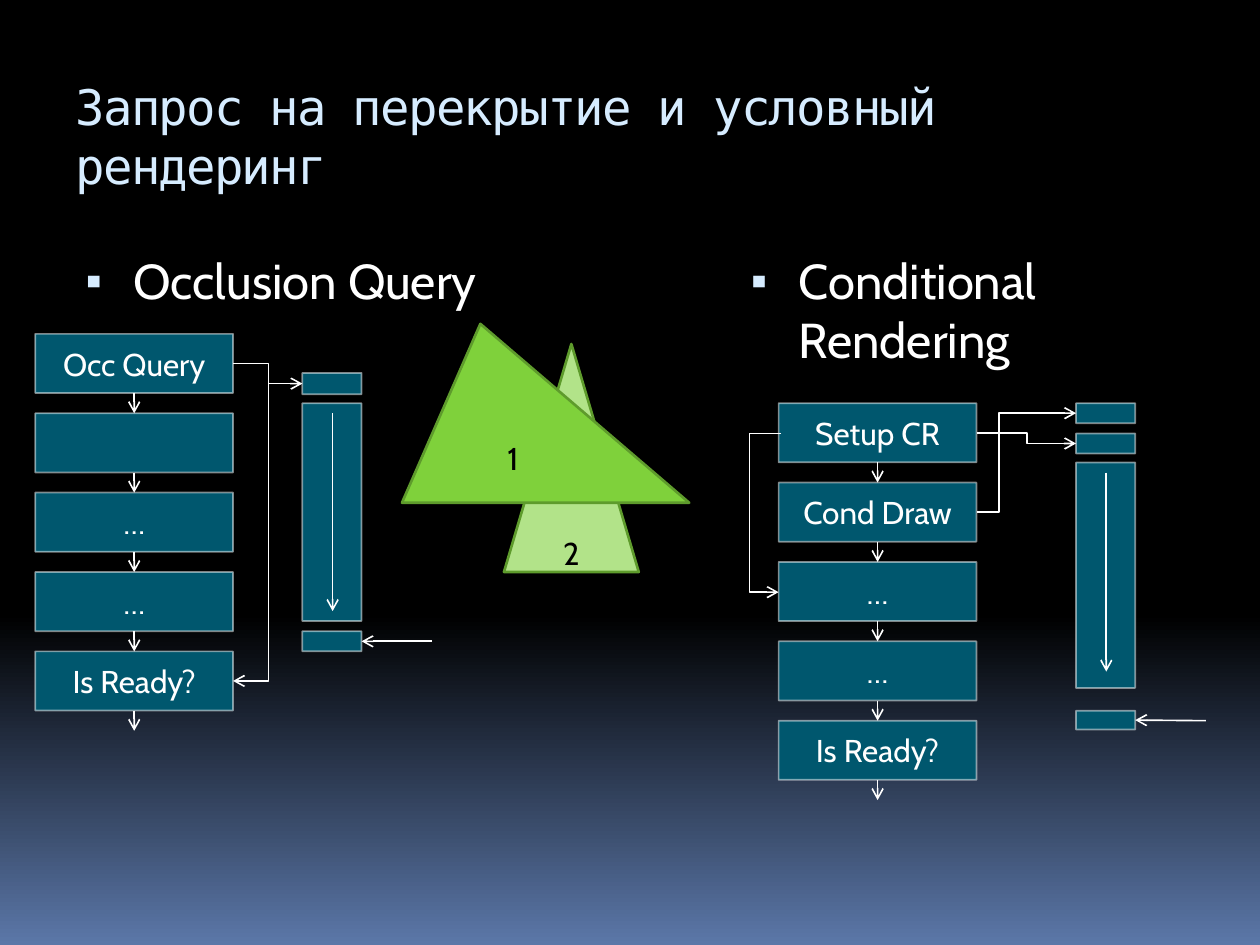
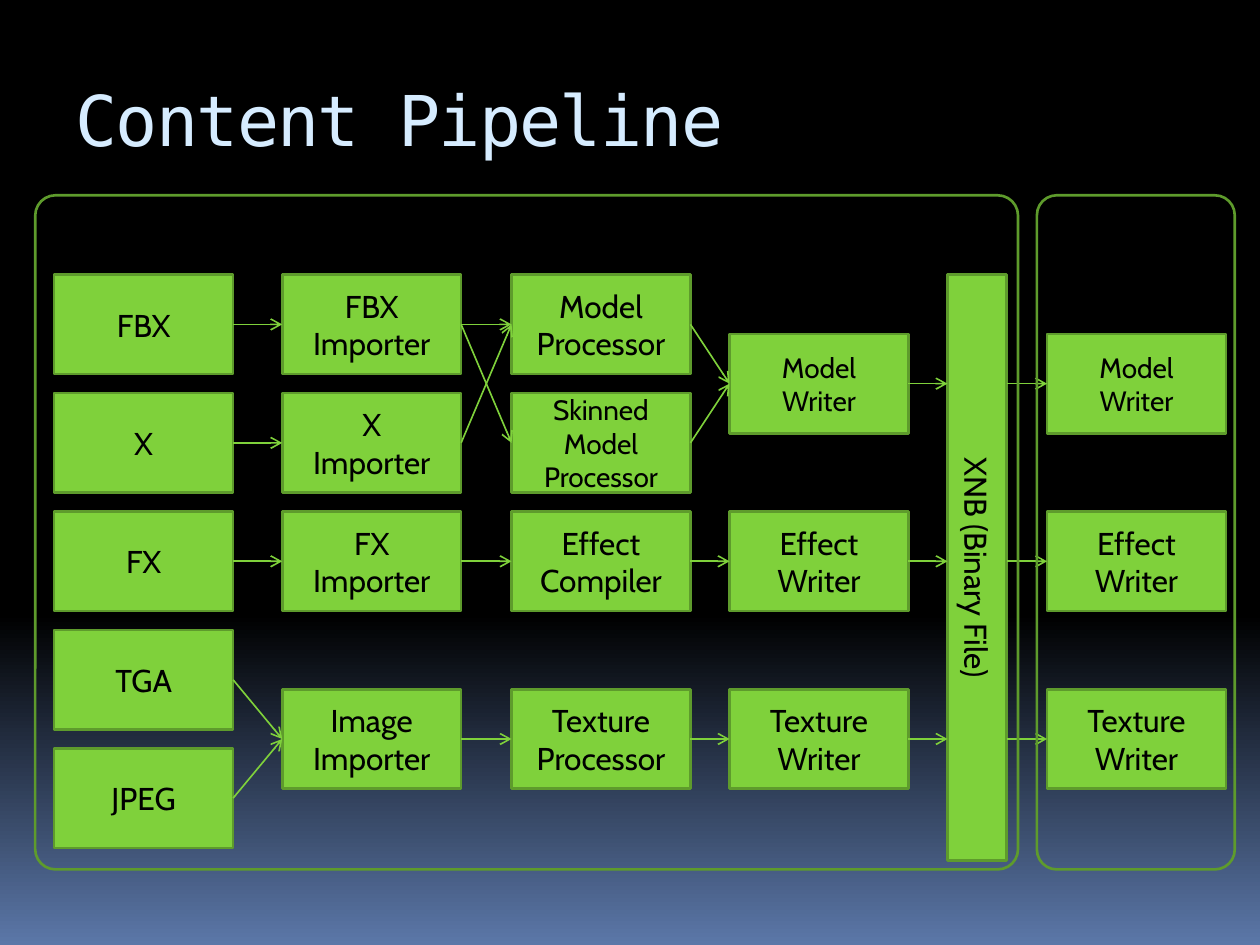
from lxml import etree
from pptx import Presentation
from pptx.dml.color import RGBColor
from pptx.enum.shapes import MSO_CONNECTOR as Connector, MSO_SHAPE as Preset
from pptx.enum.text import MSO_ANCHOR as Anchor, MSO_AUTO_SIZE as AutoSize, PP_ALIGN as Align
from pptx.oxml.ns import qn
from pptx.shapes.autoshape import Shape
from pptx.util import Inches, Pt

COLORS = {
    "black": "000000", "horizon": "5B77A8", "title": "D6ECFF", "white": "FFFFFF",
    "teal": "00576E", "green": "7FD13B", "pale_green": "B2E389", "dark_green": "5E9B2C",
}
# Box styles: fill, line, line width, line opacity, text
BOXES = {
    "teal": ("teal", "white", 1, 50, "white"),
    "green": ("green", "dark_green", 1.5, 100, "black"),
    "pale": ("pale_green", "dark_green", 1.5, 100, "black"),
    "frame": (None, "dark_green", 1.5, 100, "black"),
}
BODY_FONT, TITLE_FONT = "Cabin", "DejaVu Sans Mono"
TOP, LEFT, BOTTOM, RIGHT = range(4)


def rgb(name):
    return RGBColor.from_string(COLORS[name])


def add_element(parent, tag, **attributes):
    return etree.SubElement(parent, qn(tag), attributes)


def end_point(end):
    """Turn (x, y) in inches or (shape, side) into a point."""
    first, second = end
    if not isinstance(first, Shape):
        return Inches(first), Inches(second)
    across, down = {TOP: (1, 0), LEFT: (0, 1), BOTTOM: (1, 2), RIGHT: (2, 1)}[second]
    return first.left + first.width * across // 2, first.top + first.height * down // 2


class Deck:
    def __init__(self):
        self.presentation = Presentation()
        self.presentation.slide_width = Inches(10)
        self.presentation.slide_height = Inches(7.5)
        self.slide = None
        self.paint_background()

    def paint_background(self):
        master = self.presentation.slide_master
        fill = master.background.fill
        fill.gradient()
        fill.gradient_angle = 270
        stops = next(master.element.iter(qn("a:gsLst")))
        for stop in list(stops):
            stops.remove(stop)
        for percent, name in ((0, "black"), (65, "black"), (100, "horizon")):
            stop = add_element(stops, "a:gs", pos=str(percent * 1000))
            add_element(stop, "a:srgbClr", val=COLORS[name])

    def new_slide(self, layout, title, size):
        layouts = self.presentation.slide_layouts
        self.slide = self.presentation.slides.add_slide(layouts.get_by_name(layout))
        shape = self.slide.shapes.title
        self.place(shape, 0.5, 0.56, 9, 1)
        run = self.add_text(shape.text_frame.paragraphs[0], title, size, "title", TITLE_FONT)
        run.font._element.set("spc", "-100")

    def place(self, placeholder, left, top, width, height):
        placeholder.left, placeholder.top = Inches(left), Inches(top)
        placeholder.width, placeholder.height = Inches(width), Inches(height)
        frame = placeholder.text_frame
        frame.word_wrap = True
        frame.auto_size = AutoSize.NONE
        frame.vertical_anchor = Anchor.TOP
        frame.paragraphs[0].alignment = Align.LEFT

    def add_text(self, paragraph, text, size, color, font=BODY_FONT):
        run = paragraph.add_run()
        run.text = text
        run.font.size = Pt(size)
        run.font.name = font
        run.font.color.rgb = rgb(color)
        return run

    def bullet(self, index, left, width, text):
        placeholder = self.slide.placeholders[index]
        self.place(placeholder, left, 1.94, width, 4.95)
        paragraph = placeholder.text_frame.paragraphs[0]
        paragraph.space_before = Pt(0)
        properties = paragraph._p.get_or_add_pPr()
        properties.set("marL", str(Inches(0.45)))
        properties.set("indent", str(Inches(-0.38)))
        color = add_element(properties, "a:buClr")
        add_element(color, "a:srgbClr", val=COLORS["title"])
        add_element(properties, "a:buSzPct", val="95000")
        add_element(properties, "a:buChar", char="▪")
        self.add_text(paragraph, text, 28, "white")

    def box(self, style, left, top, width, height, text="", size=18,
            preset=Preset.RECTANGLE, adjust=None):
        fill, line, line_width, opacity, text_color = BOXES[style]
        shape = self.slide.shapes.add_shape(
            preset, Inches(left), Inches(top), Inches(width), Inches(height))
        shape.shadow.inherit = False
        if fill:
            shape.fill.solid()
            shape.fill.fore_color.rgb = rgb(fill)
        else:
            shape.fill.background()
        shape.line.color.rgb = rgb(line)
        shape.line.width = Pt(line_width)
        if opacity < 100:
            line_color = shape.element.spPr.find(qn("a:ln")).find(".//" + qn("a:srgbClr"))
            add_element(line_color, "a:alpha", val=str(opacity * 1000))
        if adjust is not None:
            shape.adjustments[0] = adjust
        if text:
            frame = shape.text_frame
            frame.vertical_anchor = Anchor.MIDDLE
            for number, row in enumerate(text.split("\n")):
                paragraph = frame.add_paragraph() if number else frame.paragraphs[0]
                paragraph.alignment = Align.CENTER
                self.add_text(paragraph, row, size, text_color)
        return shape

    def arrow(self, begin, end, color="white", bend=None):
        """Draw a straight arrow, or an elbow that turns at x = bend."""
        kind = Connector.STRAIGHT if bend is None else Connector.ELBOW
        start, stop = end_point(begin), end_point(end)
        connector = self.slide.shapes.add_connector(kind, *start, *stop)
        if isinstance(begin[0], Shape):
            connector.begin_connect(*begin)
        if isinstance(end[0], Shape):
            connector.end_connect(*end)
        connector.line.color.rgb = rgb(color)
        connector.line.width = Pt(0.94)
        properties = connector.element.spPr
        add_element(properties.find(qn("a:ln")), "a:tailEnd", type="arrow")
        add_element(properties, "a:effectLst")
        if bend is not None:
            share = (Inches(bend) - start[0]) / (stop[0] - start[0])
            guides = next(properties.iter(qn("a:avLst")))
            add_element(guides, "a:gd", name="adj1", fmla=f"val {round(share * 100000)}")

    def command_column(self, left, top, labels):
        """Stack command boxes, each with an arrow to the next."""
        width, height, pitch = 1.57, 0.47, 0.63
        boxes = [self.box("teal", left, top + pitch * row, width, height, label)
                 for row, label in enumerate(labels)]
        for upper, lower in zip(boxes, boxes[1:]):
            self.arrow((upper, BOTTOM), (lower, TOP))
        center, last = left + width / 2, top + pitch * len(boxes)
        self.arrow((boxes[-1], BOTTOM), (center, last))
        return boxes

    def gpu_bars(self, left, bars):
        return [self.box("teal", left, top, 0.47, height) for top, height in bars]


def build_query_slide(deck):
    deck.new_slide("Two Content", "Запрос на перекрытие и условный рендеринг", 28)
    deck.bullet(1, 0.51, 4.42, "Occlusion Query")
    deck.bullet(2, 5.79, 3.96, "Conditional Rendering")

    # Occlusion query
    commands = deck.command_column(0.28, 2.65, ["Occ Query", "", "…", "…", "Is Ready?"])
    start, _, finish = deck.gpu_bars(2.4, [(2.96, 0.17), (3.2, 1.73), (5.01, 0.16)])
    deck.arrow((commands[0], RIGHT), (start, LEFT), bend=2.13)
    deck.arrow((start, LEFT), (commands[-1], RIGHT), bend=2.13)
    deck.arrow((3.43, 5.09), (finish, RIGHT))
    deck.arrow((2.64, 3.28), (2.64, 4.85))

    # Overlapping triangles
    hidden = deck.box("pale", 4, 2.73, 1.07, 1.81, "2", preset=Preset.ISOSCELES_TRIANGLE)
    hidden.text_frame.vertical_anchor = Anchor.BOTTOM
    hidden.text_frame.margin_bottom = 0
    deck.box("green", 3.19, 2.57, 2.28, 1.42, "1",
             preset=Preset.ISOSCELES_TRIANGLE, adjust=0.273)

    # Conditional rendering
    setup, draw, *_ = deck.command_column(
        6.18, 3.2, ["Setup CR", "Cond Draw", "…", "…", "Is Ready?"])
    drawing, testing, _, finish = deck.gpu_bars(
        8.54, [(3.2, 0.16), (3.44, 0.16), (3.67, 1.79), (5.64, 0.15)])
    deck.arrow((6.2, 3.44), (6.18, 4.7), bend=5.95)
    deck.arrow((setup, RIGHT), (testing, LEFT), bend=8.15)
    deck.arrow((draw, RIGHT), (drawing, LEFT), bend=7.93)
    deck.arrow((9.57, 5.72), (finish, RIGHT))
    deck.arrow((8.78, 3.75), (8.78, 5.33))


def build_pipeline_slide(deck):
    deck.new_slide("Title Only", "Content Pipeline", 40)

    # Stages: left edge, then label, grid row and text size of each box
    writers = [("Model\nWriter", 0.5, 16), ("Effect\nWriter", 2, 18),
               ("Texture\nWriter", 3.5, 18)]
    stages = [
        (0.43, [("FBX", 0, 18), ("X", 1, 18), ("FX", 2, 18), ("TGA", 3, 18),
                ("JPEG", 4, 18)]),
        (2.24, [("FBX\nImporter", 0, 18), ("X\nImporter", 1, 18),
                ("FX\nImporter", 2, 18), ("Image\nImporter", 3.5, 18)]),
        (4.06, [("Model\nProcessor", 0, 18), ("Skinned\nModel\nProcessor", 1, 16),
                ("Effect\nCompiler", 2, 18), ("Texture\nProcessor", 3.5, 18)]),
        (5.79, writers),
        (8.31, writers),
    ]
    top, pitch, height = 2.18, 0.94, 0.79
    boxes = [[deck.box("green", left, top + pitch * row, 1.42, height, label, size)
              for label, row, size in stage] for left, stage in stages]

    # Binary file between the writers
    file_left, file_width = 7.52, 0.47
    binary_file = deck.box("green", file_left, top, file_width, 4.65, "XNB (Binary File)")
    binary_file.text_frame._txBody.bodyPr.set("vert", "vert")

    # Links from each stage to the next, as pairs of box numbers
    links = [
        [(0, 0), (1, 1), (2, 2), (3, 3), (4, 3)],
        [(0, 1), (1, 0), (0, 0), (2, 2), (3, 3)],
        [(0, 0), (1, 0), (2, 1), (3, 2)],
    ]
    for sources, targets, pairs in zip(boxes, boxes[1:], links):
        for source, target in pairs:
            deck.arrow((sources[source], RIGHT), (targets[target], LEFT), "green")
    for (_, row, _), before, after in zip(writers, boxes[3], boxes[4]):
        middle = top + pitch * row + height / 2
        deck.arrow((before, RIGHT), (file_left, middle), "green")
        deck.arrow((file_left + file_width, middle), (after, LEFT), "green")

    # Frames around build time and run time
    for left, width, corner in ((8.23, 1.57, 0.1), (0.28, 7.8, 0.03)):
        deck.box("frame", left, 1.55, width, 5.35,
                 preset=Preset.ROUNDED_RECTANGLE, adjust=corner)


def main():
    deck = Deck()
    build_query_slide(deck)
    build_pipeline_slide(deck)
    deck.presentation.save("out.pptx")


if __name__ == "__main__":
    main()
